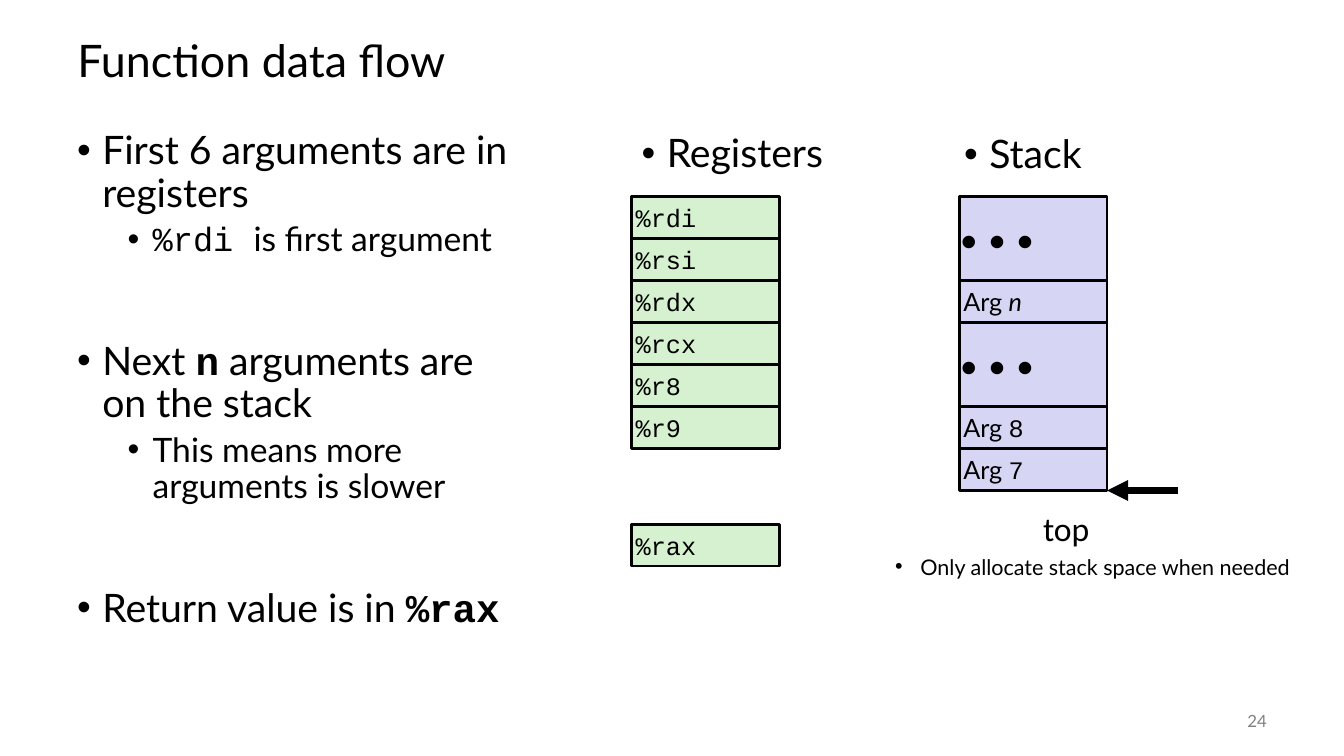
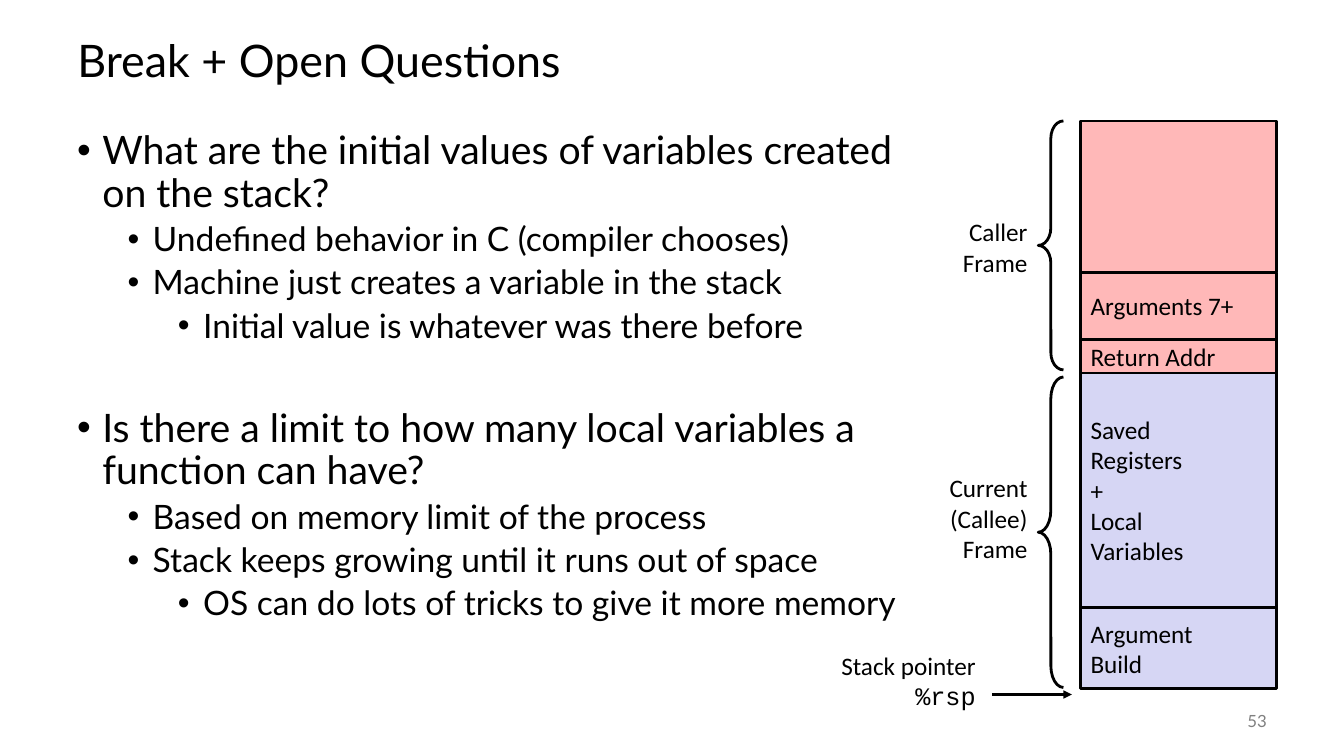
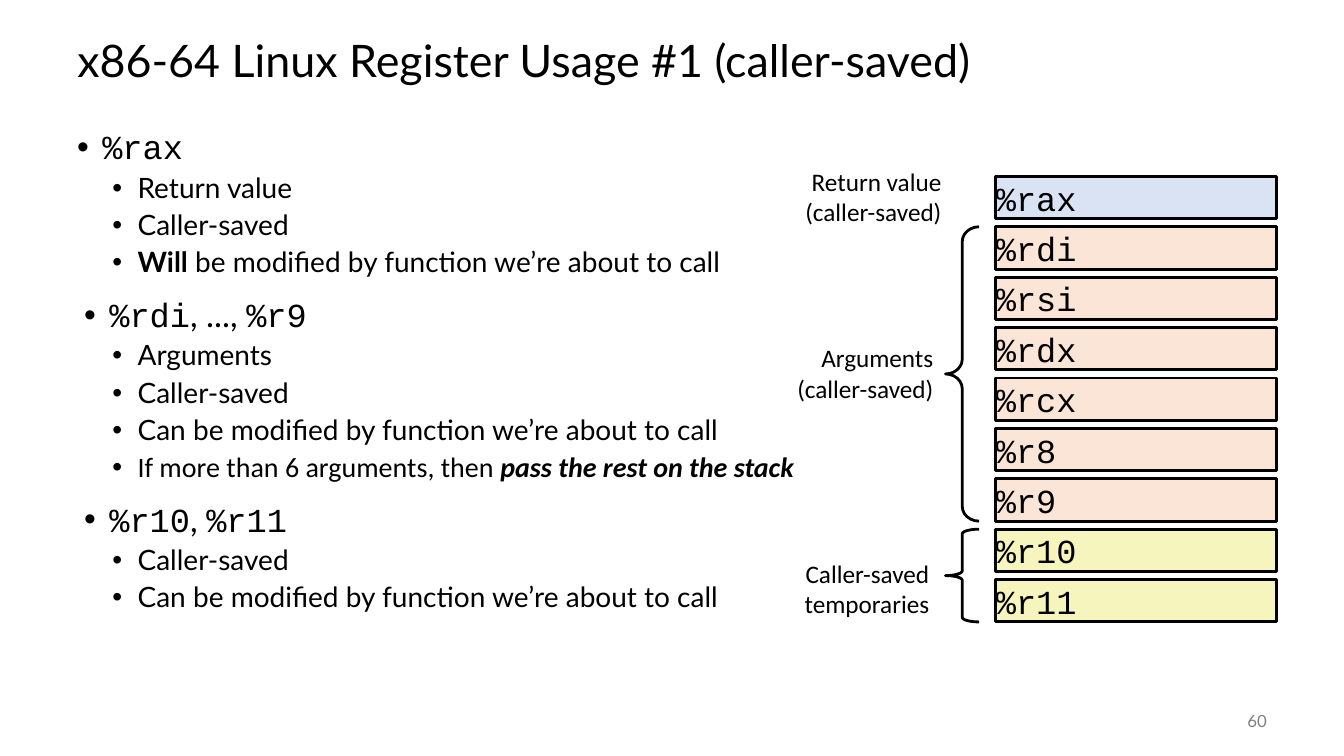
import dataclasses
import itertools

import pptx
import pptx.dml.color
import pptx.enum.shapes
import pptx.enum.text
import pptx.oxml
import pptx.oxml.ns
import pptx.util

WIDTH, HEIGHT = pptx.util.Inches(13.33), pptx.util.Inches(7.5)
COLUMNS, ROWS = 40, 30
MARGIN, RIGHT_EDGE = 2, 38
BODY_TOP, BODY_ROWS = 5, 22
SANS, LABEL_FONT, CODE_FONT = "Lato", "Calibri", "Courier New"
BLACK, GREY = "000000", "808080"
GREEN, LILAC, PINK = "D5F1CF", "D6D6F4", "FFB8B8"
BLUE, PEACH, YELLOW = "DAE3F3", "FBE5D6", "F6F5BD"
ALIGN = pptx.enum.text.PP_ALIGN
MIDDLE = pptx.enum.text.MSO_ANCHOR.MIDDLE
SHAPE = pptx.enum.shapes.MSO_SHAPE


@dataclasses.dataclass(frozen=True)
class Level:
    depth: int
    indent: float
    size: float
    before: float
    spacing: float = 0.9


MAIN = Level(0, 0.25, 28, 14)
MAIN_AFTER_GAP = dataclasses.replace(MAIN, before=59)
MAIN_AFTER_SMALL_GAP = dataclasses.replace(MAIN, before=45)
SUB = Level(1, 0.75, 24, 5)
DETAIL = Level(2, 1.25, 24, 5)
NOTE = Level(0, 0.25, 15.4, 14, 0.7)
REGISTER = Level(0, 0.25, 24, 14)
REGISTER_SHIFTED = dataclasses.replace(REGISTER, indent=0.32)
FACT = Level(1, 0.6, 20, 5)


def color(value):
    return pptx.dml.color.RGBColor.from_string(value)


def across(columns):
    return round(WIDTH * columns / COLUMNS)


def down(rows):
    return round(HEIGHT * rows / ROWS)


def area(left, top, width, height):
    return across(left), down(top), across(width), down(height)


def add_element(parent, tag, **attributes):
    element = pptx.oxml.parse_xml(f"<a:{tag} {pptx.oxml.ns.nsdecls('a')}/>")
    for name, value in attributes.items():
        element.set(name, str(value))
    parent.append(element)


def write_spans(para, spans, size, font, tint=BLACK):
    for part in [spans] if isinstance(spans, str) else spans:
        words, marks = (part, "") if isinstance(part, str) else part
        span = para.add_run()
        span.text = words
        span.font.size = pptx.util.Pt(size)
        span.font.color.rgb = color(tint)
        span.font.name = CODE_FONT if "code" in marks else LABEL_FONT if "label" in marks else font
        span.font.bold = "bold" in marks
        span.font.italic = "italic" in marks


def paragraphs(frame):
    yield frame.paragraphs[0]
    while True:
        yield frame.add_paragraph()


def write_lines(frame, lines, size, font, align=ALIGN.LEFT, tint=BLACK):
    for spans, para in zip(lines, paragraphs(frame)):
        para.alignment = align
        write_spans(para, spans, size, font, tint)


def set_insets(frame, sides, ends):
    frame.margin_left = frame.margin_right = pptx.util.Inches(sides)
    frame.margin_top = frame.margin_bottom = pptx.util.Inches(ends)


def add_text(page, place):
    frame = page.shapes.add_textbox(*area(*place)).text_frame
    frame.word_wrap = True
    return frame


def add_page(deck, heading, number):
    page = deck.slides.add_slide(deck.slide_layouts[5])
    title = page.shapes.title
    title.left, title.top, title.width, title.height = area(MARGIN, 1, RIGHT_EDGE - MARGIN, 3)
    frame = title.text_frame
    frame.auto_size = pptx.enum.text.MSO_AUTO_SIZE.NONE
    frame.vertical_anchor = MIDDLE
    write_lines(frame, [heading], 32, SANS)
    frame.paragraphs[0].line_spacing = 0.9
    footer = add_text(page, (35, 27.8, 3, 1.6))
    footer.vertical_anchor = MIDDLE
    write_lines(footer, [number], 12, SANS, ALIGN.RIGHT, GREY)
    return page


def add_bullets(page, place, items):
    frame = add_text(page, place)
    for order, ((level, spans), para) in enumerate(zip(items, paragraphs(frame))):
        para.level = level.depth
        para.line_spacing = level.spacing
        para.space_before = pptx.util.Pt(level.before if order else 0)
        properties = para._p.get_or_add_pPr()
        properties.set("marL", str(pptx.util.Inches(level.indent)))
        properties.set("indent", str(-pptx.util.Inches(0.25)))
        add_element(properties, "buFont", typeface="Arial")
        add_element(properties, "buChar", char="•")
        write_spans(para, spans, level.size, SANS)


def add_cell(page, place, fill, lines, size, font, insets):
    cell = page.shapes.add_shape(SHAPE.RECTANGLE, *area(*place))
    cell.shadow.inherit = False
    cell.fill.solid()
    cell.fill.fore_color.rgb = color(fill)
    cell.line.color.rgb = color(BLACK)
    cell.line.width = pptx.util.Pt(2)
    frame = cell.text_frame
    frame.vertical_anchor = MIDDLE
    set_insets(frame, *insets)
    write_lines(frame, lines, size, font)


def add_label(page, right, top, width, lines):
    frame = add_text(page, (right - width, top, width, 1.32 * len(lines)))
    set_insets(frame, 0.04, 0.04)
    write_lines(frame, lines, 18, LABEL_FONT, ALIGN.RIGHT)


def add_brace(page, place, curve):
    brace = page.shapes.add_shape(SHAPE.LEFT_BRACE, *area(*place))
    brace.shadow.inherit = False
    brace.fill.background()
    brace.line.color.rgb = color(BLACK)
    brace.line.width = pptx.util.Pt(2)
    brace.adjustments[0] = curve * brace.height / min(brace.width, brace.height)


def add_arrow(page, start, end, row, weight):
    arrow = page.shapes.add_connector(
        pptx.enum.shapes.MSO_CONNECTOR.STRAIGHT, across(start), down(row), across(end), down(row))
    arrow.line.color.rgb = color(BLACK)
    arrow.line.width = pptx.util.Pt(weight)
    add_element(arrow.line._get_or_add_ln(), "tailEnd", type="triangle")
    add_element(arrow._element.spPr, "effectLst")


def build_data_flow(deck):
    page = add_page(deck, "Function data flow", "24")
    add_bullets(page, (MARGIN, BODY_TOP, 13.7, BODY_ROWS), [
        (MAIN, "First 6 arguments are in registers"),
        (SUB, [("%rdi ", "code"), "is first argument"]),
        (MAIN_AFTER_GAP, ["Next ", ("n", "code bold"), " arguments are on the stack"]),
        (SUB, "This means more arguments is slower"),
        (MAIN_AFTER_GAP, ["Return value is in ", ("%rax", "code bold")]),
    ])
    register_left, stack_left, cell_width = 18.8, 28.55, 4.4
    top, step = 7.8, 5 / 3
    add_bullets(page, (register_left, 5.12, 13.26, 2.8), [(MAIN, "Registers")])
    add_bullets(page, (28.4, 5.16, 5.25, 2.8), [(MAIN, "Stack")])
    add_bullets(page, (26.35, 22.08, 13.26, 1.48), [(NOTE, "Only allocate stack space when needed")])

    names = ["%rdi", "%rsi", "%rdx", "%rcx", "%r8", "%r9"]
    tops = [top + step * order for order in range(len(names))]
    for name, row in zip(names + ["%rax"], tops + [20.8]):
        add_cell(page, (register_left, row, cell_width, step), GREEN, [name], 18, CODE_FONT, (0.04, 0.04))

    row = top
    for units, spans in [
        (2, "• • •"),
        (1, ["Arg ", ("n", "italic")]),
        (2, "• • •"),
        (1, ["Arg ", ("8", "code")]),
        (1, ["Arg ", ("7", "code")]),
    ]:
        size, inset = (24, 0) if units == 2 else (18, 0.04)
        add_cell(page, (stack_left, row, cell_width, units * step), LILAC, [spans], size, SANS, (inset, inset))
        row += units * step
    add_arrow(page, 35.05, stack_left + cell_width, row, 5)
    write_lines(add_text(page, (30.75, 19.96, 2.2, 2)), ["top"], 24, LABEL_FONT)


def build_questions(deck):
    page = add_page(deck, "Break + Open Questions", "53")
    add_bullets(page, (MARGIN, BODY_TOP, 25.3, BODY_ROWS), [
        (MAIN, "What are the initial values of variables created on the stack?"),
        (SUB, "Undefined behavior in C (compiler chooses)"),
        (SUB, "Machine just creates a variable in the stack"),
        (DETAIL, "Initial value is whatever was there before"),
        (MAIN_AFTER_SMALL_GAP, "Is there a limit to how many local variables a function can have?"),
        (SUB, "Based on memory limit of the process"),
        (SUB, "Stack keeps growing until it runs out of space"),
        (DETAIL, "OS can do lots of tricks to give it more memory"),
    ])
    frame_left = 32.16
    edges = [4.8, 10.8, 13.47, 14.8, 24.1, 27.33]
    parts = [
        (PINK, []),
        (PINK, ["Arguments 7+"]),
        (PINK, ["Return Addr"]),
        (LILAC, ["Saved", "Registers", "+", "Local", "Variables"]),
        (LILAC, ["Argument", "Build"]),
    ]
    for (top, bottom), (fill, lines) in zip(itertools.pairwise(edges), parts):
        place = (frame_left, top, RIGHT_EDGE - frame_left, bottom - top)
        add_cell(page, place, fill, lines, 18, LABEL_FONT, (0.1, 0))
    for top, height in [(4.8, 9.88), (14.96, 12.32)]:
        add_brace(page, (30.9, top, 0.75, height), 0.07)
    add_label(page, 30.7, 8.44, 2.5, ["Caller", "Frame"])
    add_label(page, 30.7, 18.6, 3.42, ["Current", "(Callee)", "Frame"])
    add_label(page, 29.16, 25.64, 4.86, ["Stack pointer", [("%rsp", "code")]])
    add_arrow(page, 29.52, 31.9, 27.56, 2)


def build_register_usage(deck):
    page = add_page(deck, "x86-64 Linux Register Usage #1 (caller-saved)", "60")
    add_bullets(page, (MARGIN, BODY_TOP, RIGHT_EDGE - MARGIN, BODY_ROWS), [
        (REGISTER, [("%rax", "code")]),
        (FACT, "Return value"),
        (FACT, "Caller-saved"),
        (FACT, [("Will", "bold"), " be modified by function we’re about to call"]),
        (REGISTER_SHIFTED, [("%rdi", "code"), ", ..., ", ("%r9", "code")]),
        (FACT, "Arguments"),
        (FACT, "Caller-saved"),
        (FACT, "Can be modified by function we’re about to call"),
        (FACT, [("If more than 6 arguments, then ", "label"),
                ("pass the rest on the stack", "label bold italic")]),
        (REGISTER_SHIFTED, [("%r10", "code"), ", ", ("%r11", "code")]),
        (FACT, "Caller-saved"),
        (FACT, "Can be modified by function we’re about to call"),
    ])
    register_left, top, step, height = 29.64, 7, 2, 1.68
    groups = [
        (BLUE, ["%rax"]),
        (PEACH, ["%rdi", "%rsi", "%rdx", "%rcx", "%r8", "%r9"]),
        (YELLOW, ["%r10", "%r11"]),
    ]
    row = top
    for fill, names in groups:
        if len(names) > 1:
            add_brace(page, (28.14, row, 1, step * (len(names) - 1) + height), 0.05)
        for name in names:
            place = (register_left, row, RIGHT_EDGE - register_left, height)
            add_cell(page, place, fill, [name], 24, CODE_FONT, (0, 0))
            row += step
    for right, label_top, lines in [
        (28.14, 6.44, ["Return value", "(caller-saved)"]),
        (27.9, 13.44, ["Arguments", "(caller-saved)"]),
        (27.78, 22, ["Caller-saved", "temporaries"]),
    ]:
        add_label(page, right, label_top, 4.7, lines)


def main():
    deck = pptx.Presentation()
    deck.slide_width, deck.slide_height = WIDTH, HEIGHT
    build_data_flow(deck)
    build_questions(deck)
    build_register_usage(deck)
    deck.save("out.pptx")


if __name__ == "__main__":
    main()
